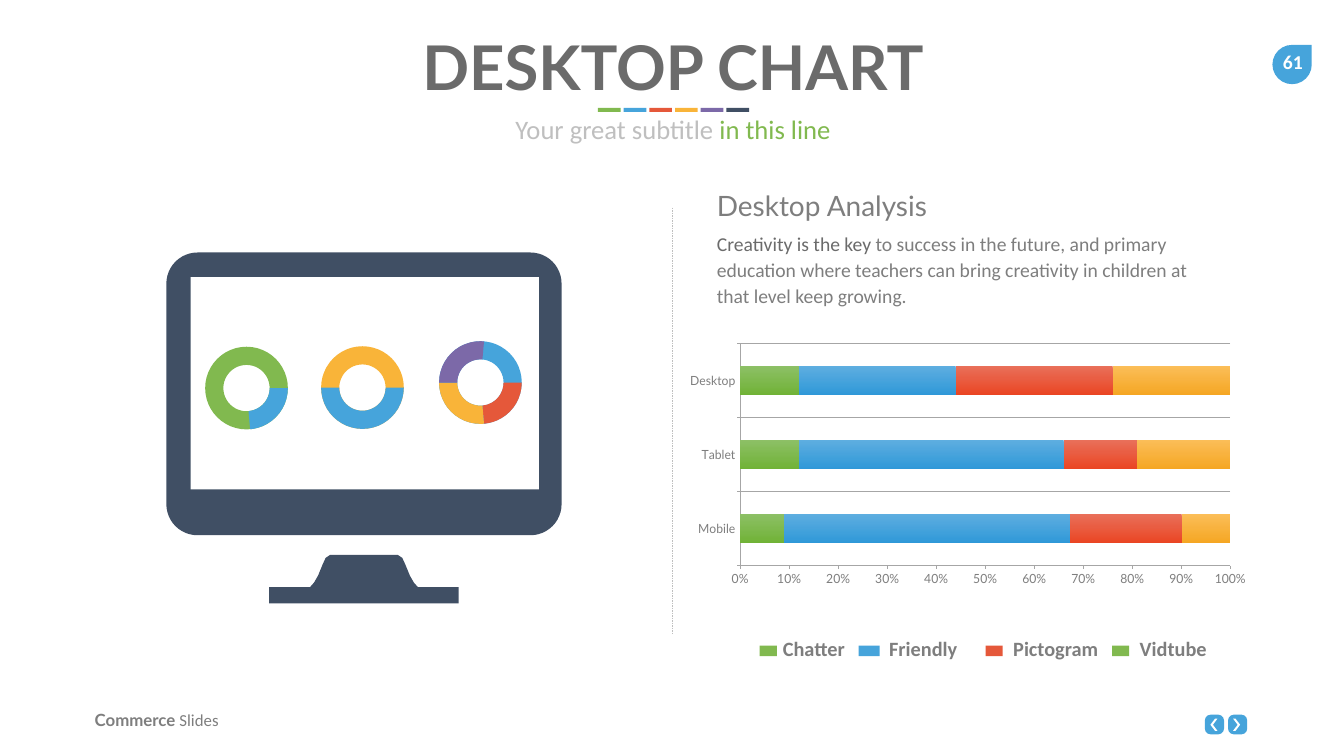
from lxml import etree
from pptx import Presentation
from pptx.chart.data import CategoryChartData
from pptx.dml.color import RGBColor
from pptx.enum.chart import XL_CHART_TYPE, XL_TICK_MARK
from pptx.enum.dml import MSO_LINE
from pptx.enum.shapes import MSO_CONNECTOR, MSO_SHAPE
from pptx.enum.text import PP_ALIGN
from pptx.oxml.ns import qn
from pptx.util import Inches, Pt

RECT, ROUNDED = MSO_SHAPE.RECTANGLE, MSO_SHAPE.ROUNDED_RECTANGLE
TEARDROP, CHEVRON = MSO_SHAPE.TEAR, MSO_SHAPE.CHEVRON
DONUT, BLOCK_ARC = MSO_SHAPE.DONUT, MSO_SHAPE.BLOCK_ARC
LEFT, CENTER = PP_ALIGN.LEFT, PP_ALIGN.CENTER

# The slide is a grid of one-inch cells
COLS, ROWS = 26.66, 15
COLORS = {
    "green": "81B94F", "blue": "46A4DB", "red": "E5583A", "yellow": "F9B439",
    "purple": "7C69A8", "navy": "404F64", "gray": "7E7E7E", "dark": "6B6B6B",
    "pale": "BFBFBF", "rule": "A6A6A6", "white": "FFFFFF",
    # Upper and lower ends of the bar gradients
    "green top": "8DC066", "green end": "70B236",
    "blue top": "5EAEE0", "blue end": "2F98D8",
    "red top": "E9705A", "red end": "EA4523",
    "yellow top": "FBBE58", "yellow end": "F5A623",
}
WIDE_INSETS = (0.2, 0.1)


def rgb(name):
    return RGBColor.from_string(COLORS[name])


def cells(*values):
    return [Inches(v) for v in values]


def paint(s, color):
    s.shadow.inherit = False
    s.fill.solid()
    s.fill.fore_color.rgb = rgb(color)
    s.line.fill.background()


def add_block(slide, kind, box, color, adjust=(), rotation=0):
    s = slide.shapes.add_shape(kind, *cells(*box))
    paint(s, color)
    s.rotation = rotation
    for i, value in enumerate(adjust):
        s.adjustments[i] = value
    return s


def add_outline(slide, points, color):
    points = [cells(*pt) for pt in points]
    fb = slide.shapes.build_freeform(*points[0])
    fb.add_line_segments(points[1:], close=True)
    paint(fb.convert_to_shape(), color)


def add_text(slide, box, runs, size, align=LEFT, insets=(0.1, 0.05), wrap=True,
             spacing=None):
    """Each run is (text, font, colour, bold)."""
    tf = slide.shapes.add_textbox(*cells(*box)).text_frame
    x, y = cells(*insets)
    frame = {"margin_left": x, "margin_right": x, "margin_top": y,
             "margin_bottom": y, "word_wrap": wrap}
    for key, value in frame.items():
        setattr(tf, key, value)
    p = tf.paragraphs[0]
    p.alignment = align
    p.line_spacing = spacing
    for text, font, color, bold in runs:
        r = p.add_run()
        r.text = text
        for key, value in {"name": font, "size": Pt(size), "bold": bold}.items():
            setattr(r.font, key, value)
        r.font.color.rgb = rgb(color)


def add_divider(slide, x, top, bottom):
    s = slide.shapes.add_connector(MSO_CONNECTOR.STRAIGHT, *cells(x, top, x, bottom))
    s.line.color.rgb = rgb("pale")
    s.line.width = Pt(0.5)
    s.line.dash_style = MSO_LINE.DASH
    etree.SubElement(s._element.spPr, qn("a:effectLst"))


def add_ring(slide, center, base, sectors):
    """Sectors are (colour, start, end) in degrees clockwise from the right."""
    size, thickness = 1.64, 0.22
    box = (center[0] - size / 2, center[1] - size / 2, size, size)
    add_block(slide, DONUT, box, base, (thickness,))
    for color, start, end in sectors:
        # One degree is 60000 units, and an adjustment counts 100000
        add_block(slide, BLOCK_ARC, box, color, (start * 0.6, end * 0.6, thickness))


def add_monitor(slide):
    add_block(slide, ROUNDED, (3.3, 5.01, 7.84, 5.61), "navy", (0.11,))
    add_block(slide, RECT, (3.78, 5.5, 6.91, 4.21), "white")
    # The stand is symmetric about its middle
    middle = 7.22
    half = [(1.88, 11.97), (1.88, 11.65), (1.07, 11.65), (0.99, 11.56),
            (0.91, 11.42), (0.82, 11.2), (0.76, 11.07), (0.67, 11.01)]
    stand = [(middle - x, y) for x, y in half]
    stand += [(middle + x, y) for x, y in reversed(half)]
    add_outline(slide, stand, "navy")


def add_bar_chart(slide, box):
    data = CategoryChartData()
    data.categories = ["Mobile", "Tablet", "Desktop"]
    series = [("green", (9, 12, 12)), ("blue", (59, 54, 32)),
              ("red", (23, 15, 32)), ("yellow", (10, 19, 24))]
    for i, (_, values) in enumerate(series, 1):
        data.add_series(f"Series {i}", values)
    chart = slide.shapes.add_chart(
        XL_CHART_TYPE.BAR_STACKED_100, *cells(*box), data).chart
    chart.has_legend = chart.has_title = False
    chart.font.name, chart.font.size = "Lato", Pt(18)
    chart.font.color.rgb = rgb("gray")
    plot = chart.plots[0]
    plot.gap_width, plot.overlap, plot.vary_by_categories = 150, 100, False
    for s, (color, _) in zip(plot.series, series):
        fill = s.format.fill
        fill.gradient()
        fill.gradient_angle = 270
        for stop, end in zip(fill.gradient_stops, ("top", "end")):
            stop.color.rgb = rgb(f"{color} {end}")
    for axis, grid in ((chart.category_axis, True), (chart.value_axis, False)):
        axis.has_major_gridlines = grid
        axis.major_tick_mark = XL_TICK_MARK.OUTSIDE
        axis.format.line.color.rgb = rgb("rule")
    chart.category_axis.major_gridlines.format.line.color.rgb = rgb("rule")
    labels = chart.value_axis.tick_labels
    labels.number_format, labels.number_format_is_linked = "0%", False
    # Fixed place of the plot inside the chart
    area = chart._chartSpace.find(".//" + qn("c:plotArea"))
    for old in area.findall(qn("c:layout")):
        area.remove(old)
    layout = etree.Element(qn("c:layout"))
    manual = etree.SubElement(layout, qn("c:manualLayout"))
    place = {"layoutTarget": "inner", "xMode": "edge", "yMode": "edge",
             "x": 0.061, "y": 0.02, "w": 0.915, "h": 0.886}
    for tag, value in place.items():
        etree.SubElement(manual, qn("c:" + tag)).set("val", str(value))
    area.insert(0, layout)


def add_header(slide):
    add_text(slide, (1.9, 0.53, 22.9, 1.58),
             [("DESKTOP CHART", "Lato", "dark", True)], 88, CENTER)
    for i, color in enumerate(("green", "blue", "red", "yellow", "purple", "navy")):
        add_block(slide, RECT, (11.86 + 0.51 * i, 2.14, 0.45, 0.08), color)
    add_text(slide, (1.9, 2.2, 22.9, 0.74),
             [("Your great subtitle ", "Calibri", "pale", False),
              ("in this line", "Calibri", "green", False)], 38, CENTER)


def add_footer(slide):
    add_text(slide, (1.78, 14.04, 4, 0.5),
             [("Commerce ", "Lato", "gray", True),
              ("Slides", "Calibri", "gray", False)], 24)
    for x, arrow_x, turn in ((23.9, 24.01, 180), (24.36, 24.46, 0)):
        add_block(slide, ROUNDED, (x, 14.18, 0.38, 0.39), "blue", (0.3,))
        add_block(slide, CHEVRON, (arrow_x, 14.26, 0.14, 0.24), "white", (0.65,), turn)


def add_legend(slide):
    entries = [("Chatter", "green", 15.07, 0.34, 15.43, 1.72),
               ("Friendly", "blue", 17.03, 0.42, 17.54, 2.13),
               ("Pictogram", "red", 19.55, 0.34, 20, 2.41),
               ("Vidtube", "green", 22.06, 0.34, 22.51, 1.72)]
    for name, color, x, width, text_x, text_width in entries:
        add_block(slide, RECT, (x, 12.81, width, 0.21), color)
        add_text(slide, (text_x, 12.58, text_width, 0.69),
                 [(name, "Calibri", "gray", True)], 29)


def main():
    prs = Presentation()
    prs.slide_width, prs.slide_height = cells(COLS, ROWS)
    slide = prs.slides.add_slide(prs.slide_layouts[6])

    # Page number and footer
    add_block(slide, TEARDROP, (25.24, 0.89, 0.78, 0.78), "blue")
    add_text(slide, (25.21, 0.9, 0.87, 0.67), [("61", "Calibri", "white", True)],
             28, CENTER, WIDE_INSETS, wrap=False)
    add_footer(slide)

    # Analysis on the right
    add_divider(slide, COLS / 2, 4.12, 12.57)
    add_text(slide, (14.02, 3.64, 4.64, 0.88),
             [("Desktop Analysis", "Lato", "gray", False)], 40,
             insets=WIDE_INSETS, wrap=False)
    add_text(slide, (14.02, 4.45, 10.34, 1.75),
             [("Creativity is the key ", "Calibri", "dark", False),
              ("to success in the future, and primary education where teachers "
               "can bring creativity in children at that level keep growing.",
               "Calibri", "gray", False)], 28, insets=WIDE_INSETS, spacing=1.1)
    add_bar_chart(slide, (13.69, 6.72, 11.02, 4.97))
    add_legend(slide)
    add_header(slide)

    # Monitor with three rings on the left
    add_monitor(slide)
    add_ring(slide, (4.89, 7.7), "green", [("blue", 0, 85)])
    add_ring(slide, (7.19, 7.69), "yellow", [("blue", 0, 180)])
    add_ring(slide, (9.53, 7.59), "blue",
             [("red", 0, 85), ("yellow", 85, 180), ("purple", 180, 275)])

    prs.save("out.pptx")


if __name__ == "__main__":
    main()
